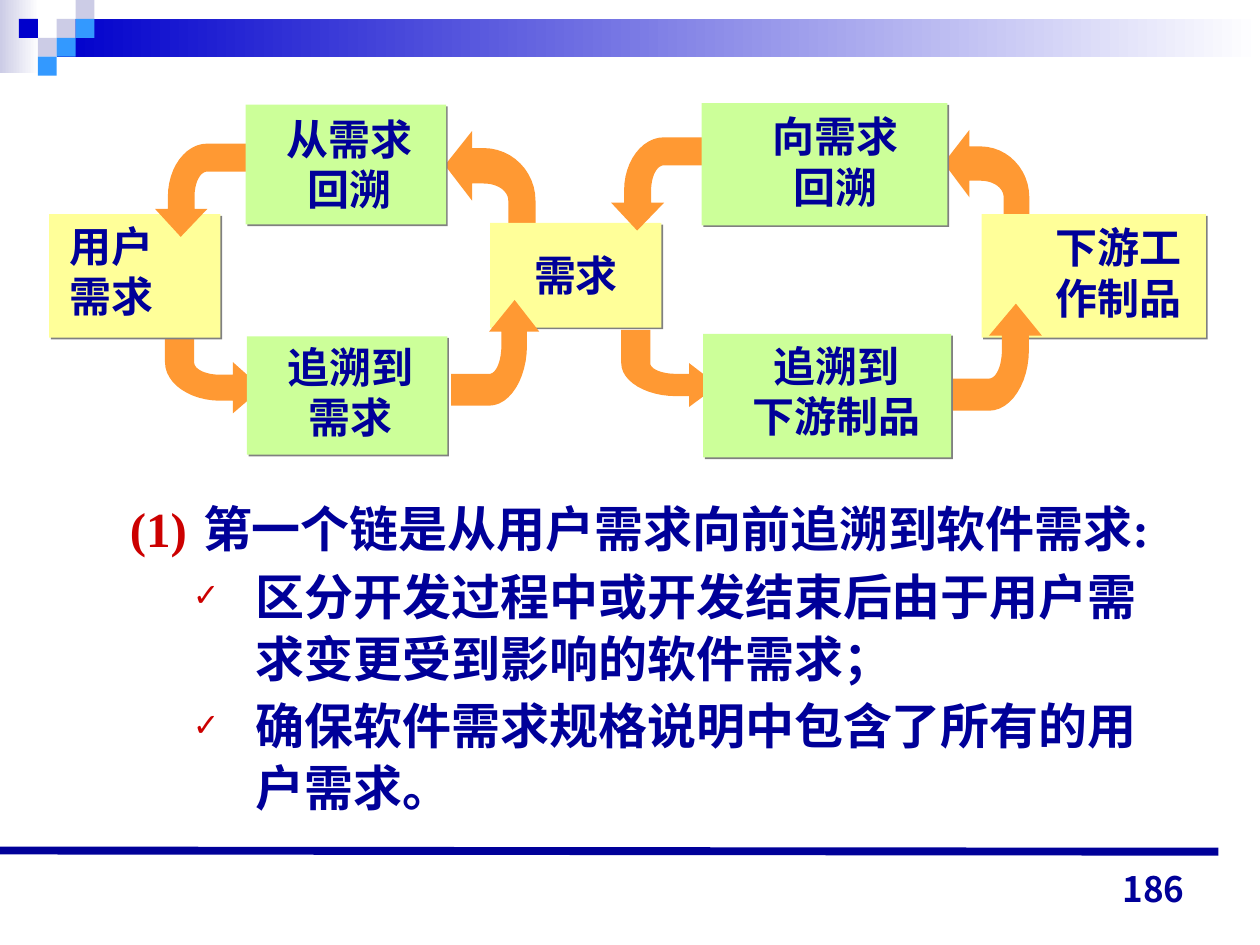
from lxml import etree
from pptx import Presentation
from pptx import util as u
from pptx.dml.color import RGBColor
from pptx.enum import shapes, text
from pptx.oxml.ns import qn

COLORS = {
    "navy": "000099", "red": "CC0000", "blue": "0000CC", "sky": "3399FF",
    "lilac": "CCCCE6", "white": "FFFFFF", "orange": "FF9933",
    "yellow": "FFFF99", "green": "CCFF99", "grey": "808080",
}
LATIN, HAN, NUMERAL = "Times New Roman", "Noto Sans CJK SC", "Noto Sans CJK JP"
CENTER, JUSTIFY, RIGHT = (
    text.PP_ALIGN.CENTER, text.PP_ALIGN.JUSTIFY, text.PP_ALIGN.RIGHT)

# Header: gradient bars (frame, left colour), then squares (column, row, colour)
BARS = [((0, 0, 22.3, 41.8), "lilac"), ((32.4, 10.8, 687.6, 21.6), "blue")]
SQUARE = 10.8
SQUARES = [(3, 1, "lilac"), (4, 0, "lilac"), (4, 1, "sky"), (2, 2, "lilac"),
           (1, 1, "blue"), (3, 2, "sky"), (2, 3, "sky")]

# Each node: box frame, label frame, label lines
ARTIFACTS = [
    ((280.1, 127.4, 97.9, 59.8), (298.1, 139, 81.4, 61.2), ["需求"]),
    ((28.1, 122.4, 97.9, 70.6), (32.4, 122.4, 77.8, 61.2), ["用户", "需求"]),
    ((560.9, 122.4, 128.2, 70.6), (596.2, 123.1, 100.1, 61.2), ["下游工", "作制品"]),
]
LINKS = [
    ((141.1, 192.2, 114.5, 67.7), (140.4, 191.5, 120.2, 61.2), ["追溯到", "需求"]),
    ((140.4, 59.8, 114.5, 68.4), (128.2, 61.2, 142.6, 72.7), ["从需求", "回溯"]),
    ((401.8, 190.8, 141.8, 70.6), (399.6, 190.8, 157, 61.2), ["追溯到", "下游制品"]),
    ((401, 59, 140.4, 69.8), (409, 59.8, 136.8, 61.2), ["向需求", "回溯"]),
]
# Arrow extents: from the outer corner of the tail to the far corner of the head
ARROWS_TO_LINKS = [(94.3, 185, 149.8, 236.2), (355, 188.6, 410.4, 232.6),
                   (306, 144.7, 254.2, 74.9), (588.2, 141.8, 539.3, 74.2)]
ARROWS_TO_ARTIFACTS = [(141.1, 82.1, 88.6, 135.4), (542.2, 234.7, 595.4, 173.5),
                       (402.5, 78.5, 349.2, 131.8), (257.8, 231.8, 308.2, 171.4)]

HEADING = "(1)", "第一个链是从用户需求向前追溯到软件需求:"
POINTS = ["区分开发过程中或开发结束后由于用户需求变更受到影响的软件需求；",
          "确保软件需求规格说明中包含了所有的用户需求。"]


def rgb(name):
    return RGBColor.from_string(COLORS[name])


def points(values):
    return [u.Pt(value) for value in values]


def fill_plain(shape, color):
    shape.shadow.inherit = False
    shape.line.fill.background()
    shape.fill.solid()
    shape.fill.fore_color.rgb = rgb(color)


def add_box(page, frame, color, shadow=False):
    box = page.shapes.add_shape(shapes.MSO_SHAPE.RECTANGLE, *points(frame))
    fill_plain(box, color)
    if shadow:
        effects = box._element.spPr.find(qn("a:effectLst"))
        outer = etree.SubElement(effects, qn("a:outerShdw"), dist=str(u.Pt(1.4)),
                                 dir="2700000", algn="ctr", rotWithShape="0")
        etree.SubElement(outer, qn("a:srgbClr"), val=COLORS["grey"])
    return box


def add_span(para, content, size=24, color="navy", latin=LATIN, han=HAN):
    span = para.add_run()
    span.text = content
    font = span.font
    font.size, font.bold, font.name = u.Pt(size), True, latin
    font.color.rgb = rgb(color)
    span._r.get_or_add_rPr().find(qn("a:latin")).addnext(
        etree.Element(qn("a:ea"), typeface=han))


def add_label(page, frame, lines, align, anchor=text.MSO_ANCHOR.TOP, **style):
    label = page.shapes.add_textbox(*points(frame)).text_frame
    label.word_wrap = True
    label.vertical_anchor = anchor
    for number, line in enumerate(lines):
        para = label.add_paragraph() if number else label.paragraphs[0]
        para.alignment = align
        add_span(para, line, **style)


def cubic(start, first, second, end, steps=12):
    """Points after start along a Bezier curve."""
    return [tuple((1 - t) ** 3 * a + 3 * (1 - t) ** 2 * t * b
                  + 3 * (1 - t) * t ** 2 * c + t ** 3 * d
                  for a, b, c, d in zip(start, first, second, end))
            for t in (step / steps for step in range(1, steps + 1))]


# Unit arrow: tail at the origin along the second axis, head along the first
UNIT_ARROW = (
    [(0, 0), (0, 0.43)]
    + cubic((0, 0.43), (0, 0.67), (0.26, 0.86), (0.57, 0.86))
    + [(0.7, 0.86), (0.7, 1), (1, 0.72), (0.7, 0.43), (0.7, 0.57), (0.57, 0.57)]
    + cubic((0.57, 0.57), (0.42, 0.57), (0.3, 0.51), (0.3, 0.43))
    + [(0.3, 0)]
)


def add_arrow(page, extent, sideways):
    """Fit the unit arrow to an extent; a sideways one has a horizontal tail."""
    x0, y0, x1, y1 = extent
    outline = []
    for head, tail in UNIT_ARROW:
        across, down = (tail, head) if sideways else (head, tail)
        outline.append((u.Pt(x0 + across * (x1 - x0)), u.Pt(y0 + down * (y1 - y0))))
    builder = page.shapes.build_freeform(*outline[0])
    builder.add_line_segments(outline[1:], close=True)
    fill_plain(builder.convert_to_shape(), "orange")


def add_nodes(page, nodes, color, align):
    for frame, label_frame, lines in nodes:
        add_box(page, frame, color, shadow=True)
        add_label(page, label_frame, lines, align)


def format_item(para, level, margin, hanging, spacing, before, bullet=None):
    para.level = level
    props = para._p.get_or_add_pPr()
    props.set("marL", str(u.Pt(margin)))
    props.set("indent", str(u.Pt(-hanging)))
    if bullet:
        tint = etree.SubElement(props, qn("a:buClr"))
        etree.SubElement(tint, qn("a:srgbClr"), val=COLORS["red"])
        etree.SubElement(props, qn("a:buSzPct"), val="65000")
        etree.SubElement(props, qn("a:buChar"), char=bullet)
    else:
        etree.SubElement(props, qn("a:buNone"))
    para.line_spacing = spacing
    para.space_before = u.Pt(before)


def add_header(page):
    for frame, color in BARS:
        bar = add_box(page, frame, color)
        bar.fill.gradient()
        bar.fill.gradient_angle = 0
        for stop, name in zip(bar.fill.gradient_stops, (color, "white")):
            stop.color.rgb = rgb(name)
    for column, row, color in SQUARES:
        add_box(page, (column * SQUARE, row * SQUARE, SQUARE, SQUARE), color)


def add_footer(page):
    rule = page.shapes.add_connector(
        shapes.MSO_CONNECTOR.STRAIGHT, *points((0, 486, 696.2, 486.7)))
    rule.line.width = u.Pt(4.5)
    rule.line.color.rgb = rgb("navy")
    etree.SubElement(rule._element.spPr, qn("a:effectLst"))
    add_label(page, (516.2, 487.4, 167.8, 36), ["186"], RIGHT,
              anchor=text.MSO_ANCHOR.BOTTOM, size=20, latin=NUMERAL, han=NUMERAL)


def fill_body(body):
    body.left, body.top, body.width, body.height = points((31, 277.9, 648, 208.8))
    frame = body.text_frame
    frame.auto_size = text.MSO_AUTO_SIZE.NONE
    para = frame.paragraphs[0]
    format_item(para, 1, 77.8, 41.8, 1.1, 0)
    number, heading = HEADING
    add_span(para, number + "\t", size=28, color="red")
    add_span(para, heading, size=28)
    for point in POINTS:
        para = frame.add_paragraph()
        format_item(para, 2, 108, 36, 1.05, 3.5, bullet="✓")
        add_span(para, point, size=28)


def main():
    deck = Presentation()
    deck.slide_width, deck.slide_height = points((720, 540))
    page = deck.slides.add_slide(deck.slide_layouts[1])
    title = page.shapes.title._element
    title.getparent().remove(title)
    fill_body(page.placeholders[1])
    add_header(page)
    for extent in ARROWS_TO_LINKS:
        add_arrow(page, extent, sideways=False)
    add_nodes(page, ARTIFACTS, "yellow", JUSTIFY)
    for extent in ARROWS_TO_ARTIFACTS:
        add_arrow(page, extent, sideways=True)
    add_nodes(page, LINKS, "green", CENTER)
    add_footer(page)
    deck.save("out.pptx")


if __name__ == "__main__":
    main()
